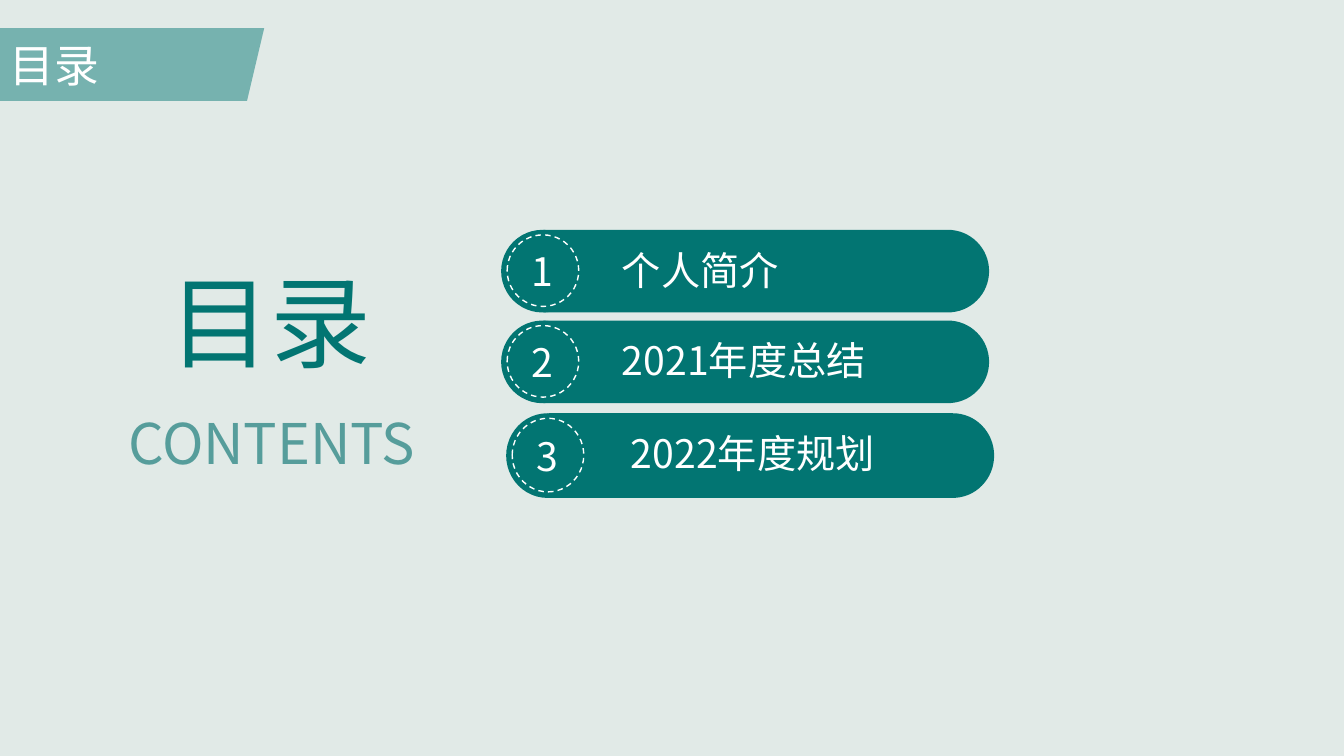
"""Build the contents slide with its banner, heading and three numbered pills."""
from math import cos, pi, sin

from lxml import etree
from pptx import Presentation
from pptx.dml.color import RGBColor
from pptx.enum.dml import MSO_LINE
from pptx.enum.shapes import MSO_SHAPE
from pptx.enum.text import MSO_ANCHOR, MSO_AUTO_SIZE, PP_ALIGN
from pptx.oxml.ns import qn
from pptx.util import Inches, Pt

OVAL = MSO_SHAPE.OVAL
DASH = MSO_LINE.DASH
TOP, MIDDLE = MSO_ANCHOR.TOP, MSO_ANCHOR.MIDDLE
LEFT, CENTER = PP_ALIGN.LEFT, PP_ALIGN.CENTER
GROW, FIXED = MSO_AUTO_SIZE.SHAPE_TO_FIT_TEXT, MSO_AUTO_SIZE.NONE

THEME = {
    "font": "Noto Sans CJK SC",
    "back": RGBColor.from_string("E1EAE7"),
    "teal": RGBColor.from_string("027572"),
    "soft": RGBColor.from_string("569D9B"),
    "white": RGBColor.from_string("FFFFFF"),
    "head": 72, "sub": 40, "banner": 32, "item": 28,
}


def write(shape, text, size, color="white", align=LEFT, anchor=TOP, fit=GROW, wrap=True, space=1.0):
    """Put formatted text into a shape."""
    frame = shape.text_frame
    frame.word_wrap, frame.auto_size = wrap, fit
    frame.vertical_anchor = anchor
    para = frame.paragraphs[0]
    para.alignment, para.line_spacing = align, space
    run = para.add_run()
    run.text = text
    run.font.name, run.font.size = THEME["font"], Pt(THEME[size])
    run.font.color.rgb = THEME[color]
    east = etree.SubElement(run.font._element, qn("a:ea"))
    east.set("typeface", THEME["font"])


def plot(shapes, points):
    """Draw a closed teal outline through points given in inches."""
    spots = [(Inches(x), Inches(y)) for x, y in points]
    pen = shapes.build_freeform(*spots[0])
    pen.add_line_segments(spots[1:])
    shape = pen.convert_to_shape()
    shape.shadow.inherit = False
    shape.line.fill.background()
    shape.fill.solid()
    shape.fill.fore_color.rgb = THEME["teal"]
    return shape


deck = Presentation()
deck.slide_width, deck.slide_height = Inches(13.33), Inches(7.5)
slide = deck.slides.add_slide(deck.slide_layouts[5])
slide.background.fill.solid()
slide.background.fill.fore_color.rgb = THEME["back"]

banner = plot(slide.shapes, [(0, 0.28), (2.62, 0.28), (2.45, 1), (0, 1)])
tint = banner.fill._xPr.find(qn("a:solidFill"))[0]
etree.SubElement(tint, qn("a:alpha")).set("val", "48000")
write(banner, "目录", "banner", anchor=MIDDLE, fit=FIXED)

title = slide.shapes.title
title.left, title.top = Inches(1.58), Inches(2.53)
title.width, title.height = Inches(2.26), Inches(1.31)
write(title, "目录", "head", "teal")

sub = slide.shapes.add_textbox(Inches(1.17), Inches(3.8), Inches(3.05), Inches(0.97))
write(sub, "CONTENTS", "sub", "soft", align=CENTER, wrap=False, space=1.3)

items = [
    ("个人简介", 4.97, 2.28, 0.82, 6.07, 3.52),
    ("2021年度总结", 4.97, 3.18, 0.82, 6.07, 3.52),
    ("2022年度规划", 5.02, 4.1, 0.84, 6.16, 3.35),
]
wide, steps = 0.82, 32
turns = [pi * (step / steps - 0.5) for step in range(steps + 1)]
for num, (label, left, top, tall, start, span) in enumerate(items, 1):
    pill = slide.shapes.add_group_shape().shapes
    mid, bend, edge = top + tall / 2, left + 4.43, left + 0.42
    arc = [(bend + wide / 2 * cos(turn), mid + tall / 2 * sin(turn)) for turn in turns]
    plot(pill, [(edge, top), *arc, (edge, top + tall)])

    disc = pill.add_shape(OVAL, Inches(left), Inches(top), Inches(wide), Inches(tall))
    disc.shadow.inherit = False
    disc.line.fill.background()
    disc.fill.solid()
    disc.fill.fore_color.rgb = THEME["teal"]
    write(disc, str(num), "item", align=CENTER, anchor=MIDDLE, fit=FIXED)

    ring = pill.add_shape(OVAL, Inches(left + 0.06), Inches(top + 0.05), Inches(0.71), Inches(tall - 0.11))
    ring.shadow.inherit = False
    ring.fill.background()
    ring.line.color.rgb = THEME["white"]
    ring.line.width, ring.line.dash_style = Pt(1), DASH

    name = pill.add_textbox(Inches(start), Inches(top + 0.11), Inches(span), Inches(0.57))
    write(name, label, "item")

deck.save("out.pptx")
